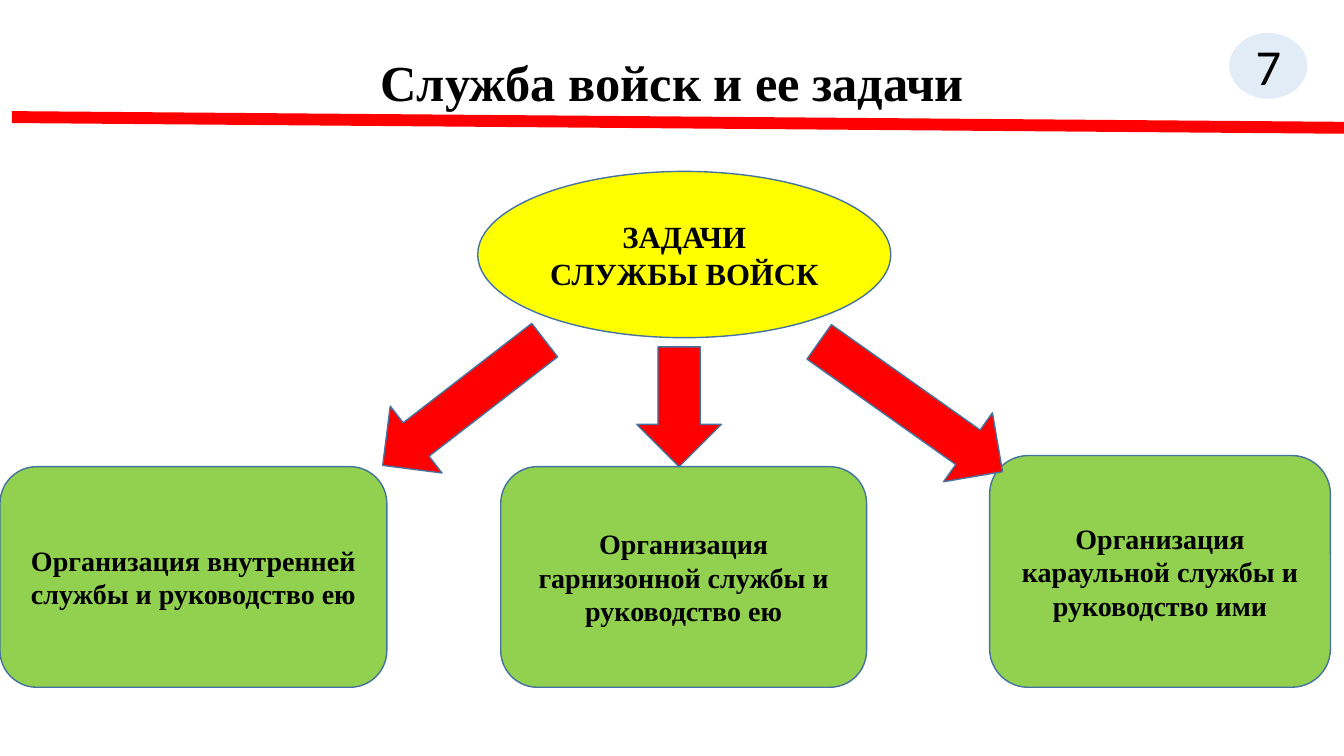
from lxml import etree
from pptx import Presentation
from pptx.dml.color import RGBColor
from pptx.enum import shapes, text
from pptx.oxml import ns
from pptx.util import Cm, Pt

BLACK = RGBColor(0x00, 0x00, 0x00)
WHITE = RGBColor(0xFF, 0xFF, 0xFF)
RED = RGBColor(0xFF, 0x00, 0x00)
YELLOW = RGBColor(0xFF, 0xFF, 0x00)
GREEN = RGBColor(0x92, 0xD0, 0x50)
BLUE = RGBColor(0x5B, 0x9B, 0xD5)
OUTLINE = RGBColor(0x43, 0x73, 0x9E)
SERIF = "Times New Roman"

HEADING = "Служба войск и ее задачи"
HEADING_BOX = (2.34, 1.02, 29.21, 2.26)
RULE = (0.3, 2.95, 33.87, 3.22)
NUMBER = ("7", (30.96, 0.81, 2.01, 1.7))
TOPIC = ("ЗАДАЧИ СЛУЖБЫ ВОЙСК", (12.04, 4.32, 10.41, 4.19))
TASKS = [
    ("Организация внутренней службы и руководство ею", (0, 11.76, 9.75, 5.56)),
    ("Организация гарнизонной службы и руководство ею", (12.62, 11.76, 9.22, 5.56)),
    ("Организация караульной службы и руководство ими", (24.94, 11.48, 8.59, 5.84)),
]
ARROWS = [
    ((16.05, 8.74, 2.13, 3.02), 0),
    ((10.62, 7.57, 2.13, 5.16), 52.3),
    ((21.89, 7.42, 2.13, 5.66), 305.3),
]


def lengths(values):
    return [Cm(value) for value in values]


def write(frame, words, size, font=SERIF, bold=True):
    frame.text = words
    frame.word_wrap = True
    frame.vertical_anchor = text.MSO_ANCHOR.MIDDLE
    paragraph = frame.paragraphs[0]
    paragraph.alignment = text.PP_ALIGN.CENTER
    run_font = paragraph.runs[0].font
    run_font.name, run_font.size, run_font.bold = font, Pt(size), bold
    run_font.color.rgb = BLACK
    return paragraph


def draw(slide, preset, box, fill, outline=OUTLINE):
    shape = slide.shapes.add_shape(preset, *lengths(box))
    shape.shadow.inherit = False
    shape.fill.solid()
    shape.fill.fore_color.rgb = fill
    shape.line.color.rgb = outline
    shape.line.width = Pt(1)
    return shape


def main():
    presentation = Presentation()
    presentation.slide_width, presentation.slide_height = Cm(33.87), Cm(19.05)
    slide = presentation.slides.add_slide(presentation.slide_layouts[5])
    preset = shapes.MSO_SHAPE

    heading = slide.shapes.title
    heading.left, heading.top, heading.width, heading.height = lengths(HEADING_BOX)
    write(heading.text_frame, HEADING, 36).line_spacing = 0.9

    rule = slide.shapes.add_connector(shapes.MSO_CONNECTOR.STRAIGHT, *lengths(RULE))
    rule.line.color.rgb = RED
    rule.line.width = Pt(8.5)
    etree.SubElement(rule._element.spPr, ns.qn("a:effectLst"))

    digit, number_box = NUMBER
    number = draw(slide, preset.OVAL, number_box, BLUE, WHITE)
    tint = number._element.spPr.find(ns.qn("a:solidFill"))[0]
    etree.SubElement(tint, ns.qn("a:alpha"), val="18000")
    write(number.text_frame, digit, 36, "Calibri", False)

    topic_words, topic_box = TOPIC
    topic = draw(slide, preset.OVAL, topic_box, YELLOW)
    write(topic.text_frame, topic_words, 22)

    for task_words, task_box in TASKS:
        task = draw(slide, preset.ROUNDED_RECTANGLE, task_box, GREEN)
        write(task.text_frame, task_words, 20)

    for arrow_box, angle in ARROWS:
        draw(slide, preset.DOWN_ARROW, arrow_box, RED).rotation = angle

    presentation.save("out.pptx")


if __name__ == "__main__":
    main()
